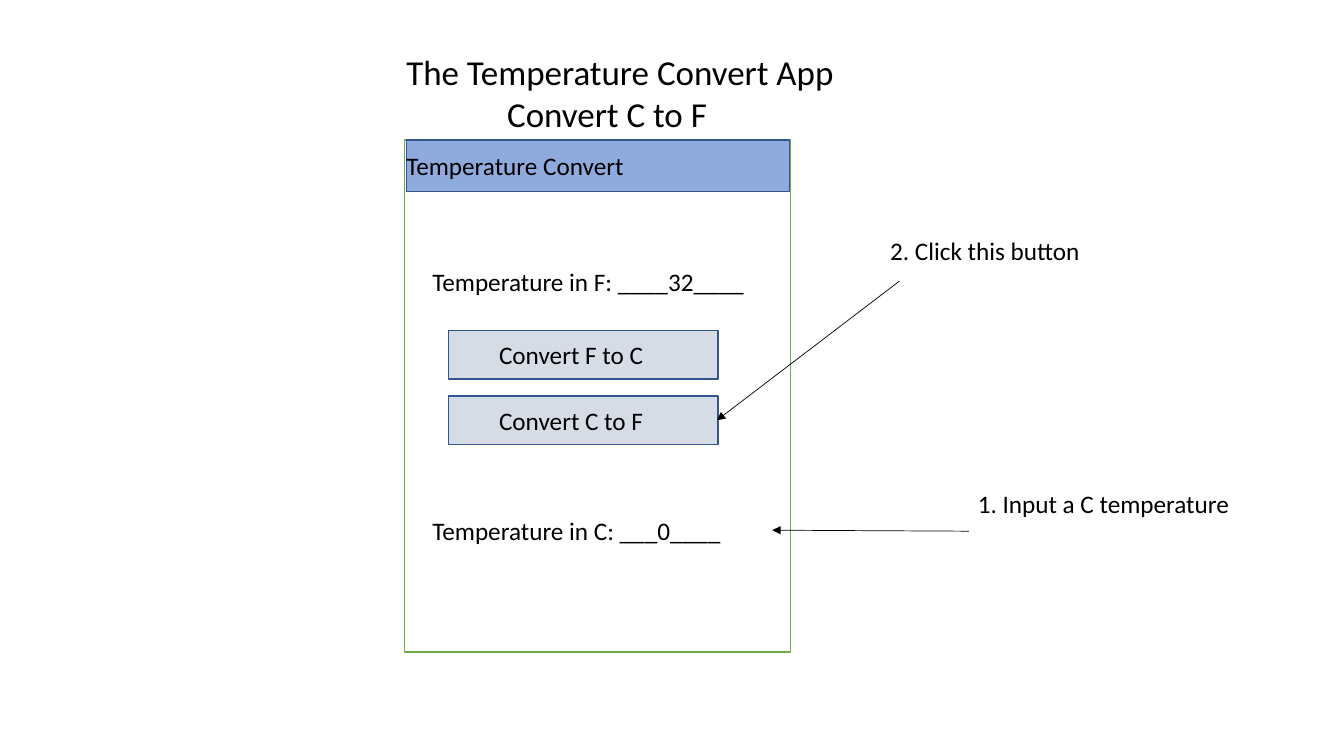
"""Build a slide that shows how the temperature app converts C to F."""
from pptx import Presentation
from pptx.dml.color import RGBColor
from pptx.enum.shapes import MSO_CONNECTOR, MSO_SHAPE
from pptx.enum.text import MSO_ANCHOR, PP_ALIGN
from pptx.oxml.ns import qn
from pptx.util import Inches, Pt
from lxml.etree import SubElement

BLACK = RGBColor(0x00, 0x00, 0x00)
WHITE = RGBColor(0xFF, 0xFF, 0xFF)
GREEN = RGBColor(0x70, 0xAD, 0x47)
BLUE = RGBColor(0x8F, 0xAA, 0xDC)
NAVY = RGBColor(0x32, 0x54, 0x91)
GRAY = RGBColor(0xD6, 0xDC, 0xE5)


def write(sp, text, size=18, inset=0.1, anchor=MSO_ANCHOR.MIDDLE):
    tf = sp.text_frame
    tf.text = text
    tf.word_wrap = True
    tf.vertical_anchor = anchor
    tf.margin_left = Inches(inset)
    tf.margin_right = Inches(0.1)
    tf.margin_top = tf.margin_bottom = Inches(0.05)
    for p in tf.paragraphs:
        p.alignment = PP_ALIGN.LEFT
        for r in p.runs:
            r.font.name = "Calibri"
            r.font.size = Pt(size)
            r.font.color.rgb = BLACK


def add_box(x, y, w, h, fill, line):
    sp = s.shapes.add_shape(MSO_SHAPE.RECTANGLE, Inches(x), Inches(y), Inches(w), Inches(h))
    sp.shadow.inherit = False
    sp.fill.solid()
    sp.fill.fore_color.rgb = fill
    sp.line.color.rgb = line
    sp.line.width = Pt(1)
    return sp


prs = Presentation()
prs.slide_width, prs.slide_height = Inches(13.33), Inches(7.5)
s = prs.slides.add_slide(prs.slide_layouts[5])

title = s.shapes.title
title.left, title.top = Inches(3.93), Inches(0.45)
title.width, title.height = Inches(4.49), Inches(0.94)
write(title, "The Temperature Convert App\nConvert C to F", size=25, anchor=MSO_ANCHOR.TOP)
title.text_frame.paragraphs[1]._p.get_or_add_pPr().set("marL", str(Inches(1)))

add_box(4.01, 1.39, 3.83, 5.08, WHITE, GREEN)
header = add_box(4.03, 1.39, 3.8, 0.51, BLUE, NAVY)
write(header, "Temperature Convert", inset=0)

for y, text in [(3.28, "Convert F to C"), (3.93, "Convert C to F")]:
    button = add_box(4.45, y, 2.67, 0.48, GRAY, NAVY)
    write(button, text, inset=0.5)

for x, y, w, text in [
    (4.19, 2.59, 3.47, "Temperature in F: ____32____"),
    (4.19, 5.06, 3.47, "Temperature in C: ___0____"),
    (8.73, 2.29, 2.67, "2. Click this button"),
    (9.6, 4.8, 2.87, "1. Input a C temperature"),
]:
    label = s.shapes.add_textbox(Inches(x), Inches(y), Inches(w), Inches(0.4))
    write(label, text, anchor=MSO_ANCHOR.TOP)

for ends in [(8.92, 2.79, 7.11, 4.17), (9.61, 5.27, 7.66, 5.26)]:
    arrow = s.shapes.add_connector(MSO_CONNECTOR.STRAIGHT, *map(Inches, ends))
    arrow.line.color.rgb = BLACK
    arrow.line.width = Pt(0.5)
    SubElement(arrow.line._get_or_add_ln(), qn("a:tailEnd"), type="triangle")
    SubElement(arrow._element.spPr, qn("a:effectLst"))

prs.save("out.pptx")
